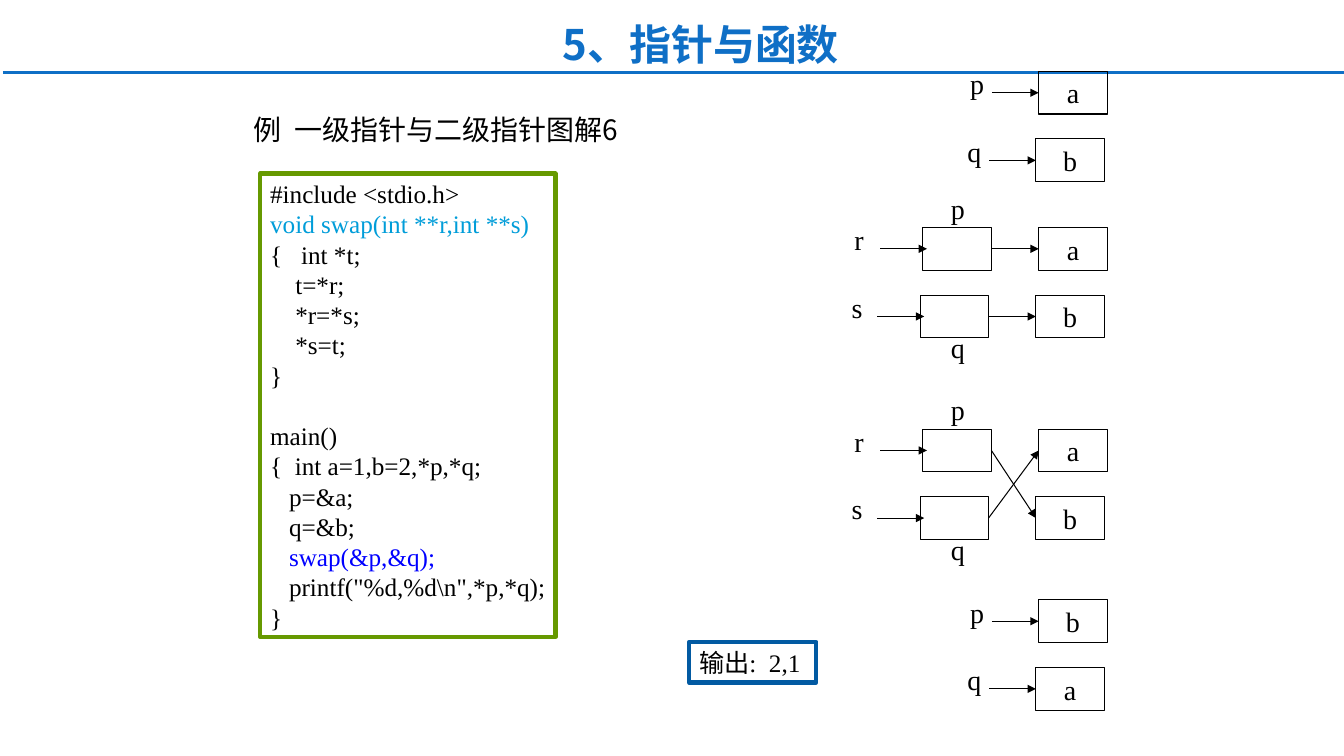
import pptx
import pptx.util
import pptx.dml.color
import pptx.enum.shapes
import pptx.enum.text
import pptx.oxml
from lxml import etree

Pt = pptx.util.Pt
ALIGN = pptx.enum.text.PP_ALIGN
ANCHOR = pptx.enum.text.MSO_ANCHOR
RECTANGLE = pptx.enum.shapes.MSO_SHAPE.RECTANGLE
STRAIGHT = pptx.enum.shapes.MSO_CONNECTOR.STRAIGHT
DRAWING = "http://schemas.openxmlformats.org/drawingml/2006/main"
SERIF, SANS = "Times New Roman", "Noto Sans CJK SC"
BLACK, BLUE = "000000", "0F6FC6"

# Content
HEADING = "5、指针与函数"
TITLE = "例  一级指针与二级指针图解6"
OUTPUT = "输出:  2,1"
CODE = [  # each line is a list of (text, colour) runs
    [("#include <stdio.h>", BLACK)],
    [("void swap(int **r,int **s)", "009DD9")],
    [("{   int *t;", BLACK)],
    [("    t=*r;", BLACK)],
    [("    *r=*s;", BLACK)],
    [("    *s=t;", BLACK)],
    [("}", BLACK)],
    [],
    [("main()", BLACK)],
    [("{  int a=1,b=2,*p,*q;", BLACK)],
    [("   p=&a;", BLACK)],
    [("   q=&b;", BLACK)],
    [("   ", BLACK), ("swap(&p,&q);", "0000FF")],
    [('   printf("%d,%d\\n",*p,*q);', BLACK)],
    [("}", BLACK)],
]
# Top, variables in the right boxes, names at the left, target row of each
# pointer box (None where there are no pointer boxes)
DIAGRAMS = [
    (51, "ab", "pq", None),
    (162.5, "ab", "rs", (0, 1)),
    (306.5, "ab", "rs", (1, 0)),
    (428.5, "ba", "pq", None),
]

# Diagram geometry
BOX_WIDTH, BOX_HEIGHT = 49, 30.5
ROW_STEP, ROW_SHIFT = 48.3, -2
VARIABLE_LEFT, POINTER_LEFT = 742.3, 659.5
LABEL_WIDTH, LABEL_HEIGHT = 24, 32


def colour(value):
    return pptx.dml.color.RGBColor.from_string(value)


def add_run(paragraph, text, size, value=BLACK, name=SERIF, bold=False):
    run = paragraph.add_run()
    run.text = text
    run.font.size, run.font.bold, run.font.name = Pt(size), bold, name
    run.font.color.rgb = colour(value)
    east_asian = etree.SubElement(run.font._element, f"{{{DRAWING}}}ea")
    east_asian.set("typeface", SANS)


def set_frame(shape, anchor=ANCHOR.TOP, wrap=False):
    frame = shape.text_frame
    frame.word_wrap = wrap
    frame.auto_size = pptx.enum.text.MSO_AUTO_SIZE.NONE
    frame.vertical_anchor = anchor
    return frame


def add_box(left, top, width, height, line, weight, fill=None):
    box = slide.shapes.add_shape(RECTANGLE, Pt(left), Pt(top), Pt(width), Pt(height))
    box.shadow.inherit = False
    if fill:
        box.fill.solid()
        box.fill.fore_color.rgb = colour(fill)
    else:
        box.fill.background()
    box.line.color.rgb = colour(line)
    box.line.width = Pt(weight)
    return box


def add_line(x1, y1, x2, y2, value=BLACK, weight=0.75, arrow=True):
    line = slide.shapes.add_connector(STRAIGHT, Pt(x1), Pt(y1), Pt(x2), Pt(y2))
    line.line.color.rgb = colour(value)
    line.line.width = Pt(weight)
    if arrow:
        tail = etree.SubElement(line.line._get_or_add_ln(), f"{{{DRAWING}}}tailEnd")
        tail.set("type", "triangle")
    etree.SubElement(line._element.spPr, f"{{{DRAWING}}}effectLst")
    return line


def add_label(text, left, top):
    label = slide.shapes.add_textbox(Pt(left), Pt(top), Pt(LABEL_WIDTH), Pt(LABEL_HEIGHT))
    add_run(set_frame(label).paragraphs[0], text, 20)


def add_row_boxes(left, top, names):
    boxes = []
    for row, name in enumerate(names):
        box = add_box(left + row * ROW_SHIFT, top + row * ROW_STEP,
                      BOX_WIDTH, BOX_HEIGHT, BLACK, 0.75)
        if name:
            paragraph = set_frame(box, ANCHOR.MIDDLE).paragraphs[0]
            paragraph.alignment = ALIGN.CENTER
            add_run(paragraph, name, 20)
        boxes.append(box)
    return boxes


def add_diagram(top, variables, names, targets):
    variable_boxes = add_row_boxes(VARIABLE_LEFT, top, variables)
    first_left = VARIABLE_LEFT
    if targets:
        first_left = POINTER_LEFT
        pointer_boxes = add_row_boxes(POINTER_LEFT, top, ("", ""))
        for box, target in zip(pointer_boxes, targets):
            arrow = add_line(0, 0, 0, 0)
            arrow.begin_connect(box, 3)
            arrow.end_connect(variable_boxes[target], 1)
        add_label("p", 672.5, top - 29.5)
        add_label("q", 672.5, top + ROW_STEP + 22)
    # Names at the left with their arrows
    for row, name in enumerate(names):
        left = first_left + row * ROW_SHIFT
        row_top = top + row * ROW_STEP
        middle = row_top + BOX_HEIGHT / 2
        add_label(name, left - 56, row_top - 7)
        if targets:
            add_line(left - 30.5, middle, left + 3, middle)
        else:
            arrow = add_line(left - 33.5, middle, left, middle)
            arrow.end_connect(variable_boxes[row], 1)


presentation = pptx.Presentation()
presentation.slide_width, presentation.slide_height = Pt(960.5), Pt(540)
slide = presentation.slides.add_slide(presentation.slide_layouts[5])

# Heading and its rule
add_line(2, 51.8, 960.5, 51.8, BLUE, 2.25, arrow=False)
heading = slide.shapes.add_textbox(Pt(88.5), Pt(9.5), Pt(824.5), Pt(43))
paragraph = set_frame(heading, wrap=True).paragraphs[0]
paragraph.alignment = ALIGN.CENTER
add_run(paragraph, HEADING, 30, BLUE, SANS, bold=True)

# Title of the example
title = slide.shapes.title
title.left, title.top, title.width, title.height = Pt(174), Pt(70.5), Pt(612), Pt(37.5)
paragraph = set_frame(title, ANCHOR.BOTTOM, wrap=True).paragraphs[0]
paragraph.alignment = ALIGN.LEFT
paragraph.line_spacing = 0.9
add_run(paragraph, TITLE, 20, name=SANS)

# Program listing
listing = add_box(186, 124, 211, 331, "669900", 3, fill="FFFFFF")
frame = set_frame(listing, ANCHOR.MIDDLE)
for number, runs in enumerate(CODE):
    paragraph = frame.add_paragraph() if number else frame.paragraphs[0]
    paragraph.alignment = ALIGN.LEFT
    paragraph.font.size = Pt(18)
    paragraph.font.name = SERIF
    for text, value in runs:
        add_run(paragraph, text, 18, value)

# Pointer diagrams
for diagram in DIAGRAMS:
    add_diagram(*diagram)

# Program output
output = add_box(492.5, 458.5, 91, 29, "025AA2", 3)
paragraph = set_frame(output).paragraphs[0]
paragraph.alignment = ALIGN.LEFT
add_run(paragraph, OUTPUT, 18)

presentation.save("out.pptx")
